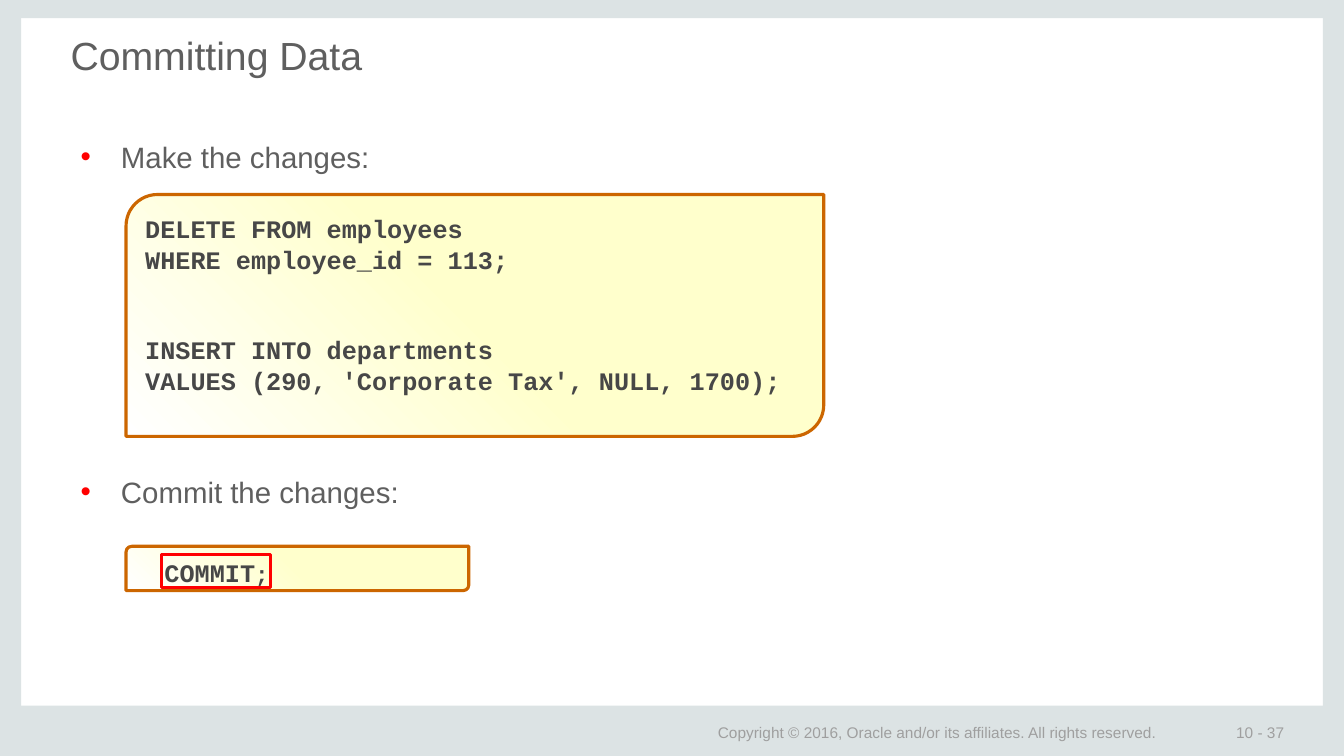
from dataclasses import dataclass
from pptx import Presentation
from pptx.dml.color import RGBColor
from pptx.enum.shapes import MSO_SHAPE as Shape
from pptx.enum.text import MSO_ANCHOR as Anchor, PP_ALIGN as Align
from pptx.oxml import parse_xml
from pptx.oxml.ns import nsdecls
from pptx.util import Inches, Pt


@dataclass(frozen=True)
class Theme:
    """Colours, fonts and type sizes of the slide."""
    band: str = "DCE3E4"
    text: str = "5F5F5F"
    code: str = "474747"
    foot: str = "9F9F9F"
    edge: str = "CC6600"
    cream: str = "FFFFCC"
    white: str = "FFFFFF"
    red: str = "FF0000"
    sans: str = "Arial"
    mono: str = "Courier New"
    head_size: float = 28
    body_size: float = 21
    code_size: float = 18
    mark_size: float = 16
    foot_size: float = 11
    line: float = 2.25


THEME = Theme()


def rgb(code):
    """Turn a hex code into a colour."""
    return RGBColor.from_string(code)


def style(font, size, color, face=THEME.sans, bold=False):
    """Set the face, size, colour and weight of a font."""
    font.name, font.size, font.bold = face, Pt(size), bold
    font.color.rgb = rgb(color)


def inset(frame, left, top, right, bottom):
    """Set the four margins of a frame."""
    frame.margin_left, frame.margin_top = Inches(left), Inches(top)
    frame.margin_right, frame.margin_bottom = Inches(right), Inches(bottom)


def add_text(slide, box, pad, wrap=True, anchor=Anchor.TOP):
    """Add an empty text box and return its frame."""
    frame = slide.shapes.add_textbox(*map(Inches, box)).text_frame
    inset(frame, *pad)
    frame.word_wrap, frame.vertical_anchor = wrap, anchor
    return frame


def add_shape(slide, kind, box, edge=None):
    """Add a flat shape with an optional outline."""
    shape = slide.shapes.add_shape(kind, *map(Inches, box))
    shape.shadow.inherit = False
    shape.fill.background()
    if edge:
        shape.line.color.rgb = rgb(edge)
        shape.line.width = Pt(THEME.line)
    else:
        shape.line.fill.background()
    return shape


def add_frame(slide, width, height):
    """Draw the four grey bands around the page."""
    side, foot = 0.21, 0.5
    for box in ((width - side, 0, side, height), (0, 0, side, height),
                (0, height - foot, width, foot), (0, 0, width, 0.18)):
        band = add_shape(slide, Shape.RECTANGLE, box)
        band.fill.solid()
        band.fill.fore_color.rgb = rgb(THEME.band)


def add_foot(slide, box, text):
    """Write one line in the bottom band."""
    pad = (0.13, 0.07, 0.13, 0.07)
    para = add_text(slide, box, pad, False, Anchor.MIDDLE).paragraphs[0]
    para.text = text
    style(para.font, THEME.foot_size, THEME.foot)


def add_title(slide, box, text):
    """Write the slide title."""
    para = add_text(slide, box, (0.02,) * 4).paragraphs[0]
    para.text = text
    style(para.font, THEME.head_size, THEME.text)


def add_steps(slide, box, steps, gap):
    """Write the bulleted steps with room for code between them."""
    frame = add_text(slide, box, (0.02,) * 4)
    for i, step in enumerate(steps):
        para = frame.add_paragraph() if i else frame.paragraphs[0]
        para.text = step
        props = para._p.get_or_add_pPr()
        props.set("marL", str(Inches(0.5)))
        props.set("indent", str(Inches(-0.4)))
        for xml in (f'<a:buClr {nsdecls("a")}><a:srgbClr val="{THEME.red}"/></a:buClr>',
                    f'<a:buFont {nsdecls("a")} typeface="{THEME.sans}"/>',
                    f'<a:buChar {nsdecls("a")} char="•"/>'):
            props.append(parse_xml(xml))
        if i:
            para.space_before = Pt(gap)
        style(para.font, THEME.body_size, THEME.text)


def add_panel(slide, box, top):
    """Add a cream code panel and return its frame."""
    panel = add_shape(slide, Shape.ROUND_2_DIAG_RECTANGLE, box, THEME.edge)
    panel.adjustments[0], panel.adjustments[1] = 0.13, 0
    fill = panel.fill
    fill.gradient()
    fill.gradient_angle = 225
    for stop, place, color in zip(fill.gradient_stops, (0.5, 1),
                                  (THEME.cream, THEME.white)):
        stop.position = place
        stop.color.rgb = rgb(color)
    frame = panel.text_frame
    inset(frame, 0.1, top, 0.01, 0)
    frame.vertical_anchor, frame.word_wrap = Anchor.TOP, True
    return frame


def add_code(slide, box, blocks):
    """Write blocks of code, two lines of space apart."""
    frame, pitch = add_panel(slide, box, 0.1), 1.2 * THEME.code_size
    first = True
    for block in blocks:
        for i, line in enumerate(block):
            para = frame.paragraphs[0] if first else frame.add_paragraph()
            para.text, para.alignment = line, Align.LEFT
            para.line_spacing = Pt(pitch)
            if i == 0 and not first:
                para.space_before = Pt(2 * pitch)
            style(para.font, THEME.code_size, THEME.code, THEME.mono, True)
            first = False


def add_commit(slide, box):
    """Write the commit command and frame it in red."""
    para = add_panel(slide, box, 0.09).paragraphs[0]
    para.alignment = Align.LEFT
    for text, size in (("  ", THEME.mark_size), ("COMMIT", THEME.code_size),
                       (";", THEME.mark_size)):
        run = para.add_run()
        run.text = text
        style(run.font, size, THEME.code, THEME.mono, True)
    left, top = box[:2]
    add_shape(slide, Shape.RECTANGLE, (left + 0.35, top + 0.08, 1.08, 0.33), THEME.red)


def main():
    """Build the slide and save it."""
    deck = Presentation()
    width, height = 13.33, 7.5
    deck.slide_width, deck.slide_height = Inches(width), Inches(height)
    slide = deck.slides.add_slide(deck.slide_layouts[6])
    add_frame(slide, width, height)
    add_foot(slide, (12.13, 7.17, 1.18, 0.2), "10 - 37")
    add_foot(slide, (6.99, 7.16, 5.34, 0.22),
             "Copyright © 2016, Oracle and/or its affiliates. All rights reserved.")
    add_title(slide, (0.68, 0.29, 11.97, 0.96), "Committing Data")
    add_steps(slide, (0.68, 1.36, 11.97, 3.9),
              ("Make the changes:", "Commit the changes:"), 214)
    add_code(slide, (1.25, 1.93, 6.92, 2.4), (
        ("DELETE FROM employees", "WHERE employee_id = 113;"),
        ("INSERT INTO departments", "VALUES (290, 'Corporate Tax', NULL, 1700);")))
    add_commit(slide, (1.25, 5.42, 3.4, 0.44))
    deck.save("out.pptx")


if __name__ == "__main__":
    main()
